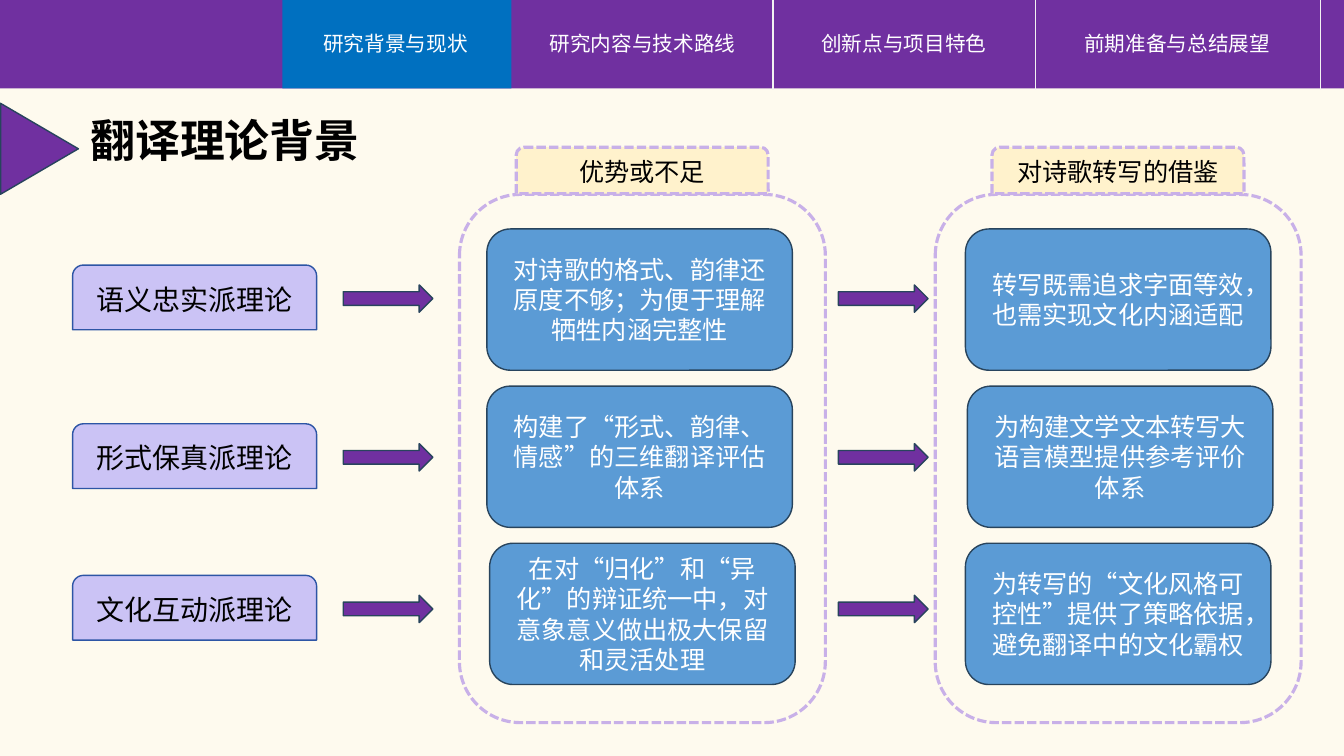
"""Build the slide that compares three schools of translation theory."""
from lxml import etree
from pptx import Presentation
from pptx import util as u
from pptx.dml.color import RGBColor
from pptx.enum import dml, shapes, text
from pptx.oxml.ns import qn

PURPLE, BLUE, LILAC, WHITE, BLACK = "7030A0", "5B9BD5", "C8B0E8", "FFFFFF", "000000"
OUTLINE = "28445D"
CJK_FONT = "Noto Sans CJK SC"
KIND = shapes.MSO_SHAPE

TABS = [("研究背景与现状", 9.97), ("研究内容与技术路线", 16.19),
        ("创新点与项目特色", 22.78), ("前期准备与总结展望", 29.67)]
DIVIDERS = [19.48, 26.09, 33.27]
THEORIES = [("语义忠实派理论", 7.5), ("形式保真派理论", 11.5), ("文化互动派理论", 15.32)]
PANELS = [
    (11.58, "优势或不足", [
        ("对诗歌的格式、韵律还原度不够；为便于理解牺牲内涵完整性", 12.27),
        ("构建了“形式、韵律、情感”的三维翻译评估体系", 12.27),
        ("在对“归化”和“异化”的辩证统一中，对意象意义做出极大保留和灵活处理", 12.34)]),
    (23.57, "对诗歌转写的借鉴", [
        ("转写既需追求字面等效，也需实现文化内涵适配", 24.33),
        ("为构建文学文本转写大语言模型提供参考评价体系", 24.38),
        ("为转写的“文化风格可控性”提供了策略依据，避免翻译中的文化霸权", 24.33)]),
]


def colour(value):
    """Turn a hex string into a colour."""
    return RGBColor.from_string(value)


def write(box, words, size, ink, font="Roboto", align=text.PP_ALIGN.CENTER, bold=False):
    """Put one styled paragraph into a shape."""
    para = box.text_frame.paragraphs[0]
    para.text = words
    para.alignment = align
    para.font.name = font
    etree.SubElement(para.font._element, qn("a:ea"), typeface=CJK_FONT)
    para.font.size = u.Pt(size)
    para.font.bold = bold
    para.font.color.rgb = colour(ink)


def add_block(page, kind, left, top, width, height, fill=None, line=None,
              weight=1, dashed=False):
    """Add a preset shape with a plain fill and outline."""
    block = page.shapes.add_shape(kind, u.Cm(left), u.Cm(top), u.Cm(width), u.Cm(height))
    block.shadow.inherit = False
    if fill:
        block.fill.solid()
        block.fill.fore_color.rgb = colour(fill)
    else:
        block.fill.background()
    if line:
        block.line.color.rgb = colour(line)
        block.line.width = u.Pt(weight)
        if dashed:
            block.line.dash_style = dml.MSO_LINE.SQUARE_DOT
    else:
        block.line.fill.background()
    block.text_frame.word_wrap = True
    block.text_frame.vertical_anchor = text.MSO_ANCHOR.MIDDLE
    return block


def add_label(page, left, top, width, height, words, size, ink, wrap=True, **style):
    """Add a text box with one line of text."""
    box = page.shapes.add_textbox(u.Cm(left), u.Cm(top), u.Cm(width), u.Cm(height))
    box.text_frame.word_wrap = wrap
    write(box, words, size, ink, **style)


def add_divider(page, left):
    """Add a thin vertical line between navigation tabs."""
    line = page.shapes.add_connector(
        shapes.MSO_CONNECTOR.STRAIGHT, u.Cm(left), 0, u.Cm(left), u.Cm(2.28))
    line.line.color.rgb = colour("F2F2F2")
    line.line.width = u.Pt(0.75)
    etree.SubElement(line._element.spPr, qn("a:effectLst"))


def add_navigation(page):
    """Add the top bar with its active tab."""
    add_block(page, KIND.RECTANGLE, 0, 0, 33.87, 2.23, PURPLE)
    add_block(page, KIND.RECTANGLE, 7.12, 0, 5.77, 2.23, "0070C0")
    for words, centre in TABS:
        width = 0.52 * len(words) + 1
        add_label(page, centre - width / 2, 0.66, width, 0.89, words, 14.7, WHITE,
                  font=CJK_FONT)
    for left in DIVIDERS:
        add_divider(page, left)


def add_title(page):
    """Add the heading and its marker."""
    marker = add_block(page, KIND.ISOSCELES_TRIANGLE, -0.15, 2.77, 2.29, 1.96, PURPLE, OUTLINE)
    marker.rotation = 90
    add_label(page, 2.03, 2.72, 7.34, 1.63, "翻译理论背景", 32, BLACK, wrap=False,
              align=text.PP_ALIGN.LEFT, bold=True)


def add_theory(page, words, centre):
    """Add a theory with the two arrows of its row."""
    theory = add_block(page, KIND.ROUND_2_SAME_RECTANGLE, 1.83, centre - 0.82, 6.15, 1.63,
                       "CBC3F5", "2D55A5")
    write(theory, words, 20, BLACK)
    for left in (8.65, 21.13):
        add_block(page, KIND.RIGHT_ARROW, left, centre - 0.32, 2.26, 0.69, PURPLE, OUTLINE)


def add_panel(page, left, heading, findings):
    """Add a dashed panel with its heading and findings."""
    for row, (words, box_left) in enumerate(findings):
        finding = add_block(page, KIND.ROUNDED_RECTANGLE, box_left, 5.77 + 3.96 * row,
                            7.7, 3.56, BLUE, OUTLINE)
        write(finding, words, 18, WHITE)
    add_block(page, KIND.ROUNDED_RECTANGLE, left, 4.9, 9.22, 13.31,
              line=LILAC, weight=2.25, dashed=True)
    tab = add_block(page, KIND.ROUND_2_SAME_RECTANGLE, left + 1.43, 3.71, 6.35, 1.17,
                    "FFF2CC", LILAC, 2.25, True)
    write(tab, heading, 18, BLACK)


def main():
    """Build and save the deck."""
    deck = Presentation()
    deck.slide_width, deck.slide_height = u.Cm(33.87), u.Cm(19.05)
    page = deck.slides.add_slide(deck.slide_layouts[6])
    page.background.fill.solid()
    page.background.fill.fore_color.rgb = colour("FEFAEE")
    add_navigation(page)
    add_title(page)
    for words, centre in THEORIES:
        add_theory(page, words, centre)
    for left, heading, findings in PANELS:
        add_panel(page, left, heading, findings)
    deck.save("out.pptx")


if __name__ == "__main__":
    main()
